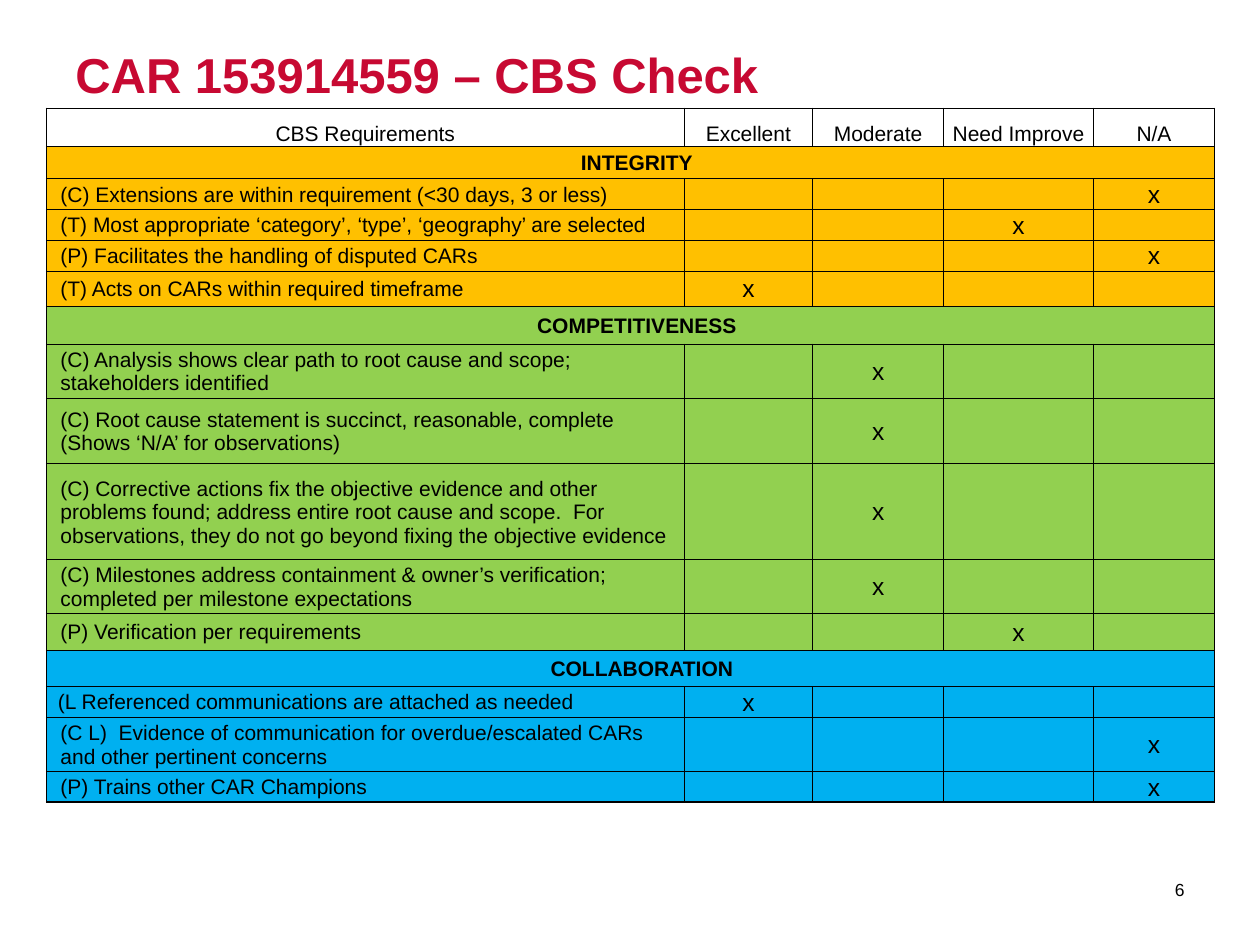
"""Build the CBS check slide: a title, a rated requirements table and a page number."""
from lxml import etree
from pptx import Presentation, util as u
from pptx.dml.color import RGBColor
from pptx.enum import text as t
from pptx.oxml.ns import qn

BLACK = RGBColor(0x00, 0x00, 0x00)
CRIMSON = RGBColor(0xC7, 0x09, 0x32)
AMBER = RGBColor(0xFF, 0xC0, 0x00)
GREEN = RGBColor(0x92, 0xD0, 0x50)
BLUE = RGBColor(0x00, 0xB0, 0xF0)

ratings = ["Excellent", "Moderate", "Need Improve", "N/A"]
column_units = [506, 102, 104, 119, 96]
sections = [
    ("INTEGRITY", AMBER, 26, [
        ("(C) Extensions are within requirement (<30 days, 3 or less)", "N/A", 23),
        ("(T) Most appropriate ‘category’, ‘type’, ‘geography’ are selected", "Need Improve", 23),
        ("(P) Facilitates the handling of disputed CARs", "N/A", 23),
        ("(T) Acts on CARs within required timeframe", "Excellent", 28),
    ]),
    ("COMPETITIVENESS", GREEN, 30, [
        ("(C) Analysis shows clear path to root cause and scope;\nstakeholders identified", "Moderate", 43),
        ("(C) Root cause statement is succinct, reasonable, complete\n(Shows ‘N/A’ for observations)", "Moderate", 52),
        ("(C) Corrective actions fix the objective evidence and other problems found; address entire "
         "root cause and scope.  For observations, they do not go beyond fixing the objective evidence",
         "Moderate", 76),
        ("(C) Milestones address containment & owner’s verification; "
         "completed per milestone expectations", "Moderate", 43),
        ("(P) Verification per requirements", "Need Improve", 29),
    ]),
    ("COLLABORATION", BLUE, 29, [
        ("(L Referenced communications are attached as needed", "Excellent", 23),
        ("(C L)  Evidence of communication for overdue/escalated CARs and other pertinent concerns", "N/A", 43),
        ("(P) Trains other CAR Champions", "N/A", 23),
    ]),
]

rows = [(["CBS Requirements"] + ratings, None, 30)]
for heading, colour, height, requirements in sections:
    rows.append(([heading] + [""] * len(ratings), colour, height))
    for requirement, rating, height in requirements:
        marks = ["x" if rating == name else "" for name in ratings]
        rows.append(([requirement] + marks, colour, height))
headings = [section[0] for section in sections]

prs = Presentation()
prs.slide_width, prs.slide_height = u.Inches(10), u.Inches(7.5)
unit = prs.slide_width // 1000
slide = prs.slides.add_slide(prs.slide_layouts[6])


def style(paragraph, size, colour, bold=False, align=t.PP_ALIGN.LEFT):
    paragraph.alignment = align
    for run in paragraph.runs:
        run.font.name, run.font.size, run.font.bold = "Arial", u.Pt(size), bold
        run.font.color.rgb = colour


def border(cell, side, points):
    line = etree.SubElement(cell._tc.get_or_add_tcPr(), qn(f"a:ln{side}"), w=str(u.Pt(points)))
    fill = etree.SubElement(line, qn("a:solidFill"))
    etree.SubElement(fill, qn("a:srgbClr"), val=str(BLACK))


labels = [
    ("CAR 153914559 – CBS Check", (50, 30, 900, 125), 28, CRIMSON, True, t.PP_ALIGN.LEFT, t.MSO_ANCHOR.TOP),
    ("6", (880, 686, 70, 40), 10, BLACK, False, t.PP_ALIGN.RIGHT, t.MSO_ANCHOR.MIDDLE),
]
for wording, place, size, colour, bold, align, anchor in labels:
    frame = slide.shapes.add_textbox(*[unit * n for n in place]).text_frame
    frame.word_wrap, frame.vertical_anchor = True, anchor
    frame.text = wording
    style(frame.paragraphs[0], size, colour, bold, align)

table = slide.shapes.add_table(
    len(rows), len(column_units), unit * 37, unit * 86,
    unit * sum(column_units), unit * sum(row[2] for row in rows)).table
table.first_row = table.horz_banding = False
for column, width in zip(table.columns, column_units):
    column.width = unit * width

last_row, last_column = len(rows) - 1, len(column_units) - 1
for r, (wordings, colour, height) in enumerate(rows):
    table.rows[r].height = unit * height
    is_heading = wordings[0] in headings
    is_flush = wordings[0].startswith("(L ")
    for c, wording in enumerate(wordings):
        cell = table.cell(r, c)
        wide_inset = c == 0 and (is_flush or wording == "COLLABORATION")
        cell.margin_left = unit * (9 if wide_inset else 1)
        cell.margin_right = cell.margin_top = unit
        cell.margin_bottom = 0
        cell.vertical_anchor = t.MSO_ANCHOR.MIDDLE if r else t.MSO_ANCHOR.BOTTOM
        outer = {"L": c == 0, "R": c == last_column or is_heading, "T": r == 0, "B": r == last_row}
        for side, is_outer in outer.items():
            border(cell, side, 1 if is_outer else 0.5)
        if colour is None:
            cell.fill.background()
        else:
            cell.fill.solid()
            cell.fill.fore_color.rgb = colour
        cell.text = wording
        centred = c > 0 or r == 0 or is_heading
        for paragraph in cell.text_frame.paragraphs:
            style(paragraph, 14 if wording == "x" else 12, BLACK, is_heading,
                  t.PP_ALIGN.CENTER if centred else t.PP_ALIGN.LEFT)
            if c == 0 and r > 0 and not is_flush:
                paragraph.level = 1
                properties = paragraph._p.get_or_add_pPr()
                properties.set("marL", str(unit * 10))
                properties.set("indent", "0")
            if not wording:
                etree.SubElement(paragraph._p, qn("a:endParaRPr"), sz="1200")
    if is_heading:
        table.cell(r, 0).merge(table.cell(r, last_column))

prs.save("out.pptx")
